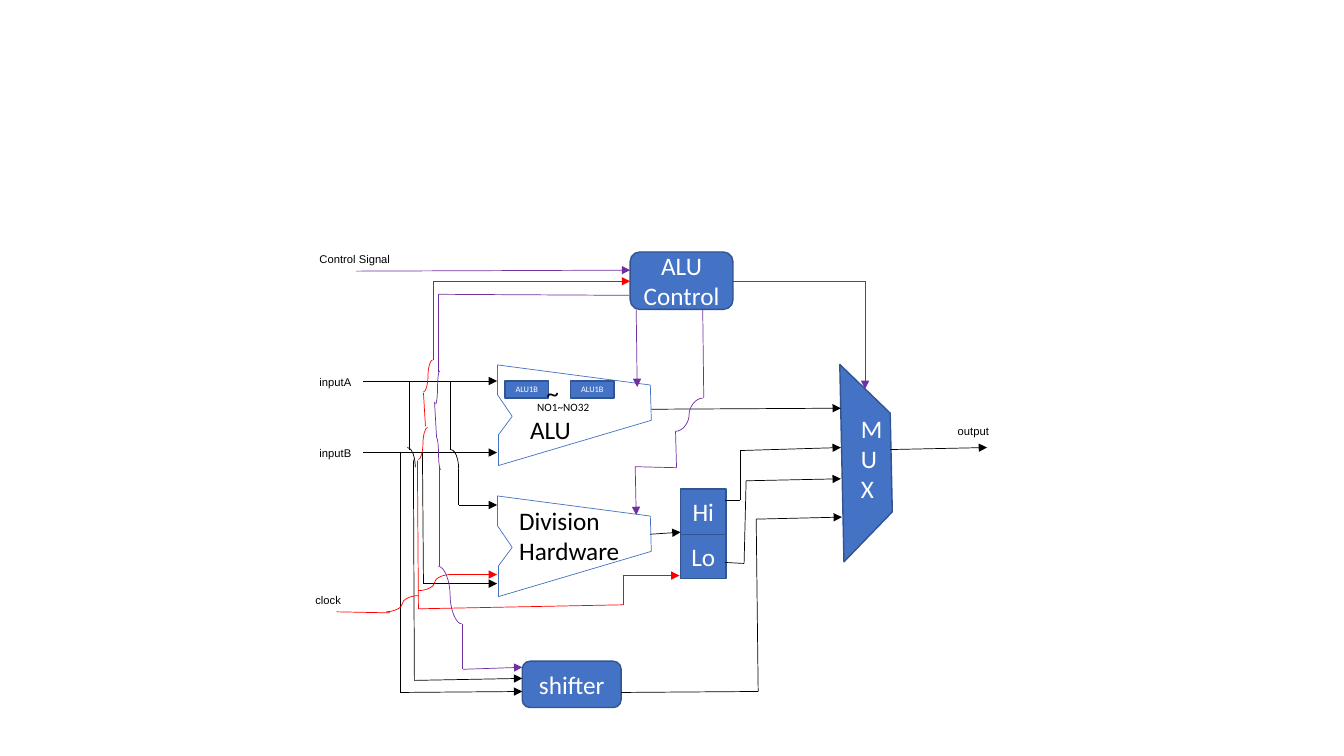
"""Build a slide with the block diagram of an ALU, divider, shifter and multiplexer."""
from itertools import pairwise

from lxml.etree import SubElement
from pptx import Presentation
from pptx.dml.color import RGBColor
from pptx.enum.shapes import MSO_CONNECTOR, MSO_SHAPE
from pptx.enum.text import MSO_ANCHOR, PP_ALIGN
from pptx.oxml.ns import qn
from pptx.util import Cm, Pt

BLUE = RGBColor(0x44, 0x72, 0xC4)
DARK_BLUE = RGBColor(0x32, 0x54, 0x91)
BLACK = RGBColor(0, 0, 0)
WHITE = RGBColor(255, 255, 255)
RED = RGBColor(255, 0, 0)
PURPLE = RGBColor(0x70, 0x30, 0xA0)

UNIT_OUTLINE = [(6.45, 3.82), (4.93, 3.62), (4.93, 3.91), (5.08, 4.13),
                (4.94, 4.32), (4.94, 4.62), (6.46, 4.17), (6.45, 3.82)]
DIVIDER_OFFSET = 1.3

BLOCKS = [
    (MSO_SHAPE.RECTANGLE, "ALU1B", 6, (5.01, 3.78, 0.43, 0.17)),
    (MSO_SHAPE.RECTANGLE, "ALU1B", 6, (5.66, 3.78, 0.43, 0.17)),
    (MSO_SHAPE.ROUNDED_RECTANGLE, "shifter", 18, (5.18, 6.56, 0.98, 0.46)),
    (MSO_SHAPE.RECTANGLE, "Hi", 18, (6.75, 4.85, 0.45, 0.45)),
    (MSO_SHAPE.RECTANGLE, "Lo", 18, (6.75, 5.3, 0.45, 0.44)),
    (MSO_SHAPE.ROUNDED_RECTANGLE, "ALU\nControl", 18, (6.25, 2.5, 1.02, 0.57)),
]

LABELS = [
    ("NO1~NO32", "Calibri", 8, BLACK, (5.23, 3.92, 0.8, 0.24)),
    ("ALU", "Calibri", 18, BLACK, (5.16, 4.06, 3, 0.4)),
    ("Division\nHardware", "Calibri", 18, BLACK, (5.05, 4.96, 1.28, 1.01)),
    ("M\nU\nX", "Calibri", 18, WHITE, (8.44, 4.05, 1.16, 1.01)),
    ("inputA", "Arial", 8, BLACK, (3.07, 3.67, 0.55, 0.24)),
    ("inputB", "Arial", 8, BLACK, (3.07, 4.38, 0.55, 0.24)),
    ("clock", "Arial", 8, BLACK, (3.03, 5.84, 0.53, 0.24)),
    ("Control Signal", "Arial", 8, BLACK, (3.07, 2.45, 0.95, 0.24)),
    ("output", "Arial", 8, BLACK, (9.4, 4.16, 0.58, 0.24)),
]

ARROWS = [
    (BLACK, [(3.6, 3.78), (4.93, 3.78)]),
    (BLACK, [(3.6, 4.49), (4.93, 4.49)]),
    (BLACK, [(4.55, 4.65), (4.55, 5.01), (4.93, 5.01)]),
    (BLACK, [(4.19, 4.49), (4.2, 5.79), (4.93, 5.79)]),
    (BLACK, [(3.97, 4.49), (3.97, 6.87), (5.18, 6.86)]),
    (BLACK, [(4.1, 4.56), (4.11, 6.75), (5.18, 6.73)]),
    (BLACK, [(6.46, 4.06), (8.34, 4.05)]),
    (BLACK, [(6.16, 6.87), (7.52, 6.86), (7.5, 5.15), (8.35, 5.13)]),
    (BLACK, [(6.45, 5.3), (6.75, 5.28)]),
    (BLACK, [(7.19, 4.96), (7.34, 4.96), (7.34, 4.47), (8.34, 4.44)]),
    (BLACK, [(7.19, 5.58), (7.38, 5.59), (7.4, 4.77), (8.34, 4.75)]),
    (BLACK, [(8.83, 4.46), (9.79, 4.44)]),
    (RED, [(4.14, 4.57), (4.15, 6.04), (6.18, 6), (6.18, 5.71), (6.74, 5.71)]),
    (RED, [(4.46, 5.7), (4.93, 5.7)]),
    (RED, [(4.3, 3.57), (4.3, 2.79), (6.25, 2.79)]),
    (PURPLE, [(3.53, 2.69), (6.25, 2.68)]),
    (PURPLE, [(7.26, 2.79), (8.58, 2.79), (8.58, 3.86)]),
    (PURPLE, [(4.59, 6.19), (4.59, 6.64), (5.18, 6.62)]),
    (PURPLE, [(6.31, 3.07), (6.32, 3.84)]),
    (PURPLE, [(6.7, 4.28), (6.71, 4.64), (6.3, 4.63), (6.31, 5.11)]),
]

PLAIN_WIRES = [
    (BLACK, [(4.47, 3.79), (4.47, 4.46)]),
    (BLACK, [(4.06, 3.79), (4.06, 4.46)]),
    (RED, [(3.34, 6.07), (3.87, 6.08)]),
    (RED, [(4.22, 4.23), (4.2, 3.9)]),
    (PURPLE, [(6.24, 2.93), (4.35, 2.92), (4.35, 3.69)]),
    (PURPLE, [(4.31, 3.99), (4.33, 4.34)]),
    (PURPLE, [(4.36, 4.63), (4.36, 5.62)]),
    (PURPLE, [(6.97, 3.07), (6.98, 3.95)]),
]

CURVES = [
    (RED, (3.83, 6.07), (4.15, 5.91)),
    (RED, (4.15, 4.56), (4.24, 4.24)),
    (RED, (4.15, 5.86), (4.47, 5.7)),
    (RED, (4.2, 3.89), (4.29, 3.57)),
    (PURPLE, (4.32, 4.01), (4.36, 3.68)),
    (PURPLE, (4.37, 4.66), (4.33, 4.34)),
    (PURPLE, (4.58, 6.19), (4.35, 5.62)),
    (PURPLE, (6.7, 4.28), (6.97, 3.95)),
]

HOPS = [(4.39, 4.46, 0.16, 0.39), (3.96, 4.44, 0.16, 0.39)]


def to_cm(*inches):
    """Convert inch values to Cm lengths."""
    return [Cm(value * 2.54) for value in inches]


def write_text(shape, text, font_name, size, color, alignment=PP_ALIGN.LEFT):
    """Put one formatted paragraph into a shape."""
    paragraph = shape.text_frame.paragraphs[0]
    paragraph.text = text
    paragraph.alignment = alignment
    paragraph.font.name = font_name
    paragraph.font.size = Pt(size)
    paragraph.font.color.rgb = color


def add_label(slide, text, font_name, size, color, box, wrap=True):
    """Add a free-standing text label."""
    label = slide.shapes.add_textbox(*to_cm(*box))
    label.text_frame.word_wrap = wrap
    write_text(label, text, font_name, size, color)


def add_block(slide, kind, box):
    """Add a filled blue block."""
    block = slide.shapes.add_shape(kind, *to_cm(*box))
    block.shadow.inherit = False
    block.fill.solid()
    block.fill.fore_color.rgb = BLUE
    block.line.color.rgb = DARK_BLUE
    block.line.width = Pt(1)
    return block


def add_text_block(slide, kind, text, size, box):
    """Add a blue block with white centred text."""
    block = add_block(slide, kind, box)
    block.text_frame.word_wrap = False
    block.text_frame.vertical_anchor = MSO_ANCHOR.MIDDLE
    write_text(block, text, "Calibri", size, WHITE, PP_ALIGN.CENTER)


def add_segment(slide, color, start, end, kind=MSO_CONNECTOR.STRAIGHT):
    """Add one thin connector without a shadow."""
    segment = slide.shapes.add_connector(kind, *to_cm(*start, *end))
    segment.line.color.rgb = color
    segment.line.width = Pt(0.5)
    SubElement(segment._element.spPr, qn("a:effectLst"))
    return segment


def add_wire(slide, color, points, arrow=False):
    """Join points with straight segments, with an optional final arrowhead."""
    for start, end in pairwise(points):
        segment = add_segment(slide, color, start, end)
    if arrow:
        SubElement(segment.line._get_or_add_ln(), qn("a:tailEnd"), type="triangle")


def add_hop(slide, box):
    """Add an arc where one wire hops over another."""
    hop = slide.shapes.add_shape(MSO_SHAPE.ARC, *to_cm(*box))
    hop.shadow.inherit = False
    hop.fill.background()
    hop.line.color.rgb = BLACK
    hop.line.width = Pt(0.5)


def main():
    """Create and save the presentation."""
    presentation = Presentation()
    presentation.slide_width, presentation.slide_height = to_cm(13.33, 7.5)
    slide = presentation.slides.add_slide(presentation.slide_layouts[6])

    for offset in (0, DIVIDER_OFFSET):
        add_wire(slide, BLUE, [(x, y + offset) for x, y in UNIT_OUTLINE])
    for block in BLOCKS:
        add_text_block(slide, *block)
    multiplexer = add_block(slide, MSO_SHAPE.DIAGONAL_STRIPE, (7.66, 3.9, 1.38, 1.39))
    multiplexer.rotation = 134
    add_label(slide, "~", "Calibri", 18, BLACK, (5.42, 3.69, 0.09, 0.4), wrap=False)
    for label in LABELS:
        add_label(slide, *label)
    for color, points in ARROWS:
        add_wire(slide, color, points, arrow=True)
    for color, points in PLAIN_WIRES:
        add_wire(slide, color, points)
    for color, start, end in CURVES:
        add_segment(slide, color, start, end, MSO_CONNECTOR.CURVE)
    for box in HOPS:
        add_hop(slide, box)
    presentation.save("out.pptx")


if __name__ == "__main__":
    main()
